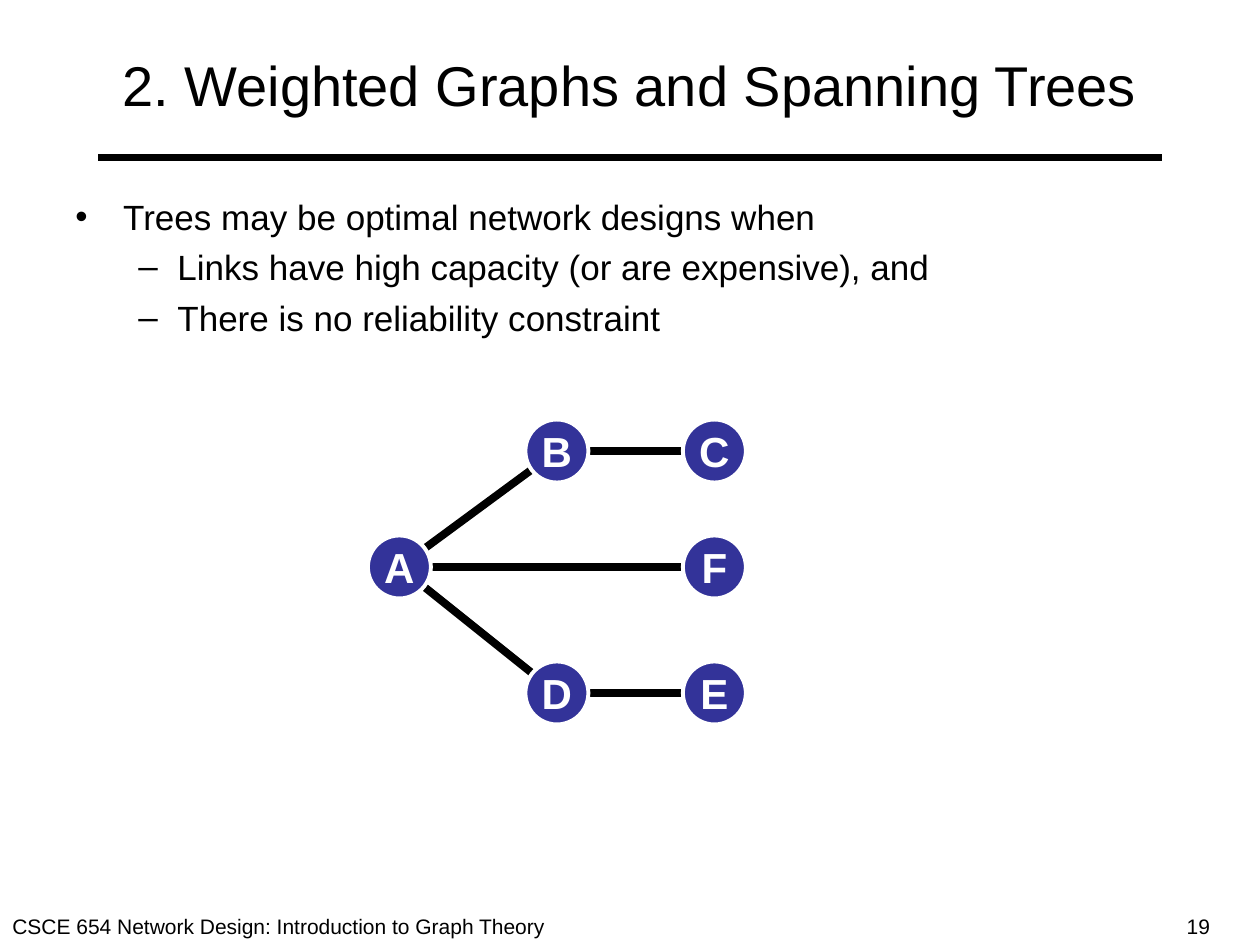
from dataclasses import dataclass

from lxml import etree
from pptx import Presentation
from pptx.dml.color import RGBColor
from pptx.enum.shapes import MSO_CONNECTOR, MSO_SHAPE
from pptx.enum.text import MSO_ANCHOR, PP_ALIGN
from pptx.oxml.ns import qn
from pptx.util import Inches, Pt

STRAIGHT = MSO_CONNECTOR.STRAIGHT
OVAL = MSO_SHAPE.OVAL
MIDDLE, TOP = MSO_ANCHOR.MIDDLE, MSO_ANCHOR.TOP
LEFT, CENTER = PP_ALIGN.LEFT, PP_ALIGN.CENTER


@dataclass(frozen=True)
class Theme:
    font: str = "Arial"
    ink: RGBColor = RGBColor(0, 0, 0)
    paper: RGBColor = RGBColor(255, 255, 255)
    node: RGBColor = RGBColor(0x33, 0x33, 0x99)
    title_size: int = 32
    body_size: int = 20
    footer_size: int = 12
    node_size: int = 24
    edge_width: float = 4.5
    outline_width: float = 2.25


THEME = Theme()

TITLE = "2. Weighted Graphs and Spanning Trees"
BULLETS = [
    (0, "Trees may be optimal network designs when"),
    (1, "Links have high capacity (or are expensive), and"),
    (1, "There is no reliability constraint"),
]
BULLET_STYLES = [("•", 0.38, -0.38), ("–", 0.81, -0.31)]
FOOTERS = [
    ("CSCE 654 Network Design: Introduction to Graph Theory", 0, 4.43),
    ("19", 9.32, 0.96),
]

COLUMNS = [3.17, 4.42, 5.67]
ROWS = [3.58, 4.5, 5.5]
NODES = {"A": (0, 1), "E": (2, 2), "B": (1, 0), "D": (1, 2), "C": (2, 0), "F": (2, 1)}
EDGES = ["DE", "BA", "DA", "CB", "AF"]
NODE_DIAMETER = 0.5


def add_run(paragraph, text, size, color=THEME.ink, bold=False):
    run = paragraph.add_run()
    run.text = text
    run.font.name = THEME.font
    run.font.size = Pt(size)
    run.font.bold = bold
    run.font.color.rgb = color


def add_text_box(slide, left, top, width, height, anchor=TOP, wrap=True):
    shape = slide.shapes.add_textbox(Inches(left), Inches(top), Inches(width), Inches(height))
    frame = shape.text_frame
    frame.word_wrap = wrap
    frame.vertical_anchor = anchor
    return frame


def add_label(frame, text, size, alignment=LEFT, color=THEME.ink, bold=False):
    paragraph = frame.paragraphs[0]
    paragraph.alignment = alignment
    add_run(paragraph, text, size, color, bold)


def add_bullets(frame):
    for index, (level, text) in enumerate(BULLETS):
        paragraph = frame.add_paragraph() if index else frame.paragraphs[0]
        symbol, margin, indent = BULLET_STYLES[level]
        paragraph.level = level
        if index:
            paragraph.space_before = Pt(5)
        properties = paragraph._p.get_or_add_pPr()
        properties.set("marL", str(Inches(margin)))
        properties.set("indent", str(Inches(indent)))
        etree.SubElement(properties, qn("a:buFont"), typeface=THEME.font)
        etree.SubElement(properties, qn("a:buChar"), char=symbol)
        add_run(paragraph, text, THEME.body_size)


def add_line(slide, start, end):
    line = slide.shapes.add_connector(STRAIGHT, *(Inches(value) for value in (*start, *end)))
    line.line.color.rgb = THEME.ink
    line.line.width = Pt(THEME.edge_width)
    etree.SubElement(line._element.spPr, qn("a:effectLst"))


def node_center(name):
    column, row = NODES[name]
    return COLUMNS[column], ROWS[row]


def add_node(slide, name):
    x, y = node_center(name)
    radius = NODE_DIAMETER / 2
    shape = slide.shapes.add_shape(
        OVAL, Inches(x - radius), Inches(y - radius), Inches(NODE_DIAMETER), Inches(NODE_DIAMETER)
    )
    shape.shadow.inherit = False
    shape.fill.solid()
    shape.fill.fore_color.rgb = THEME.node
    shape.line.color.rgb = THEME.paper
    shape.line.width = Pt(THEME.outline_width)
    frame = shape.text_frame
    frame.word_wrap = False
    frame.vertical_anchor = MIDDLE
    add_label(frame, name, THEME.node_size, CENTER, THEME.paper, True)


def main():
    presentation = Presentation()
    presentation.slide_width = Inches(10)
    presentation.slide_height = Inches(7.5)
    slide = presentation.slides.add_slide(presentation.slide_layouts[6])

    add_line(slide, (0.78, 1.25), (9.22, 1.25))
    for text, left, width in FOOTERS:
        add_label(add_text_box(slide, left, 7.2, width, 0.3, wrap=False), text, THEME.footer_size)
    add_label(add_text_box(slide, 0.5, 0.17, 9, 1, MIDDLE), TITLE, THEME.title_size, CENTER)
    add_bullets(add_text_box(slide, 0.5, 1.5, 9, 5.2))

    for start, end in EDGES:
        add_line(slide, node_center(start), node_center(end))
    for name in NODES:
        add_node(slide, name)

    presentation.save("out.pptx")


if __name__ == "__main__":
    main()
